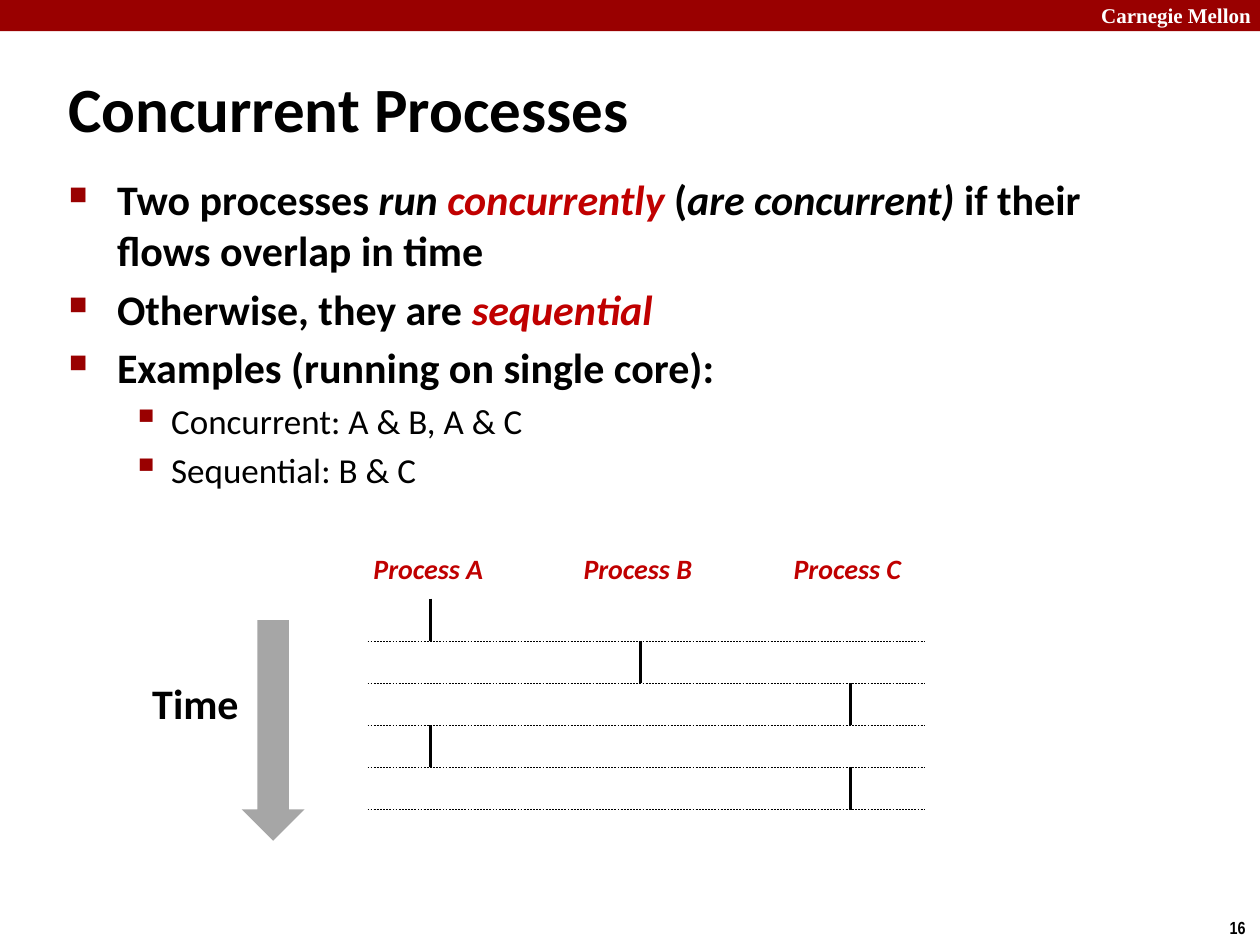
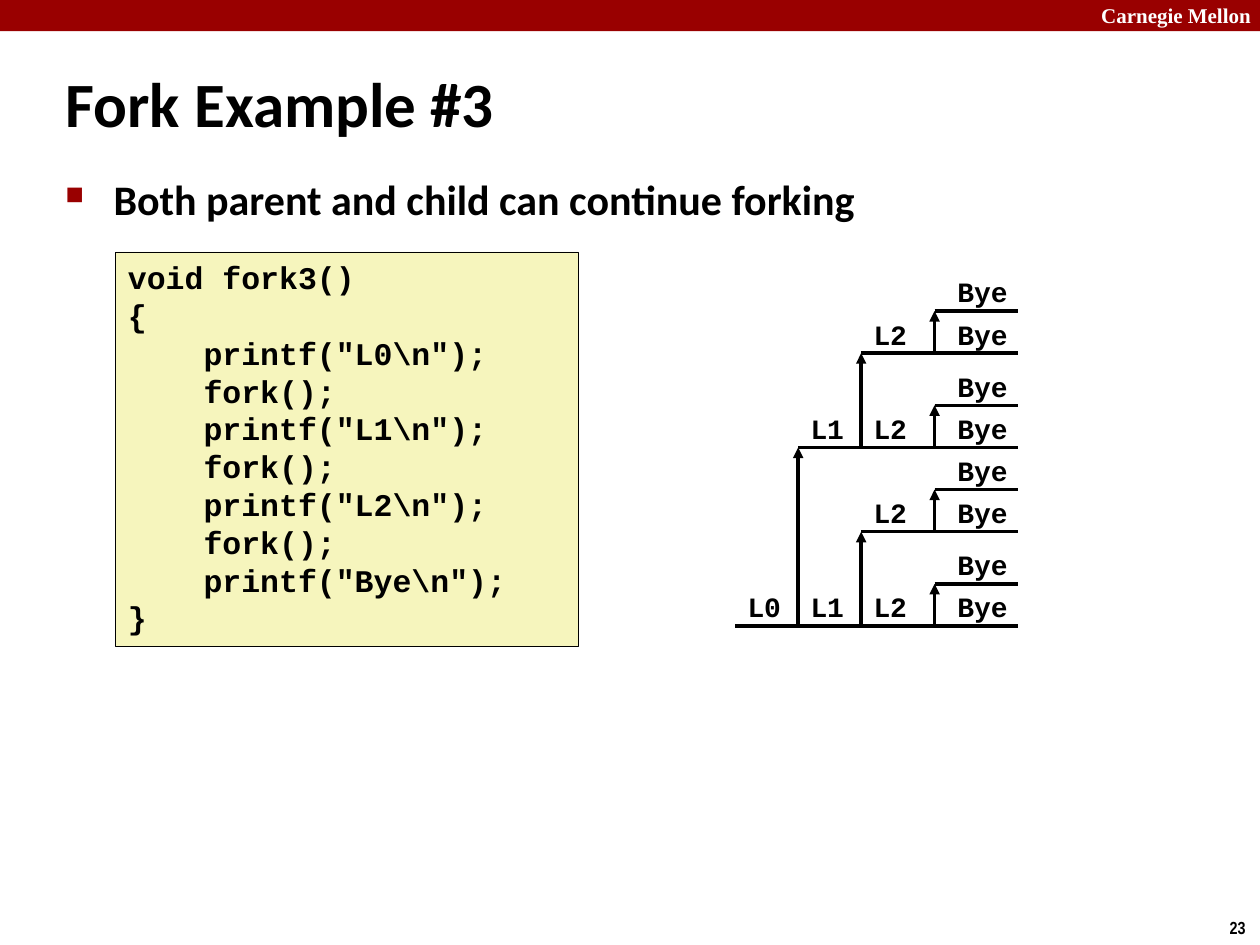
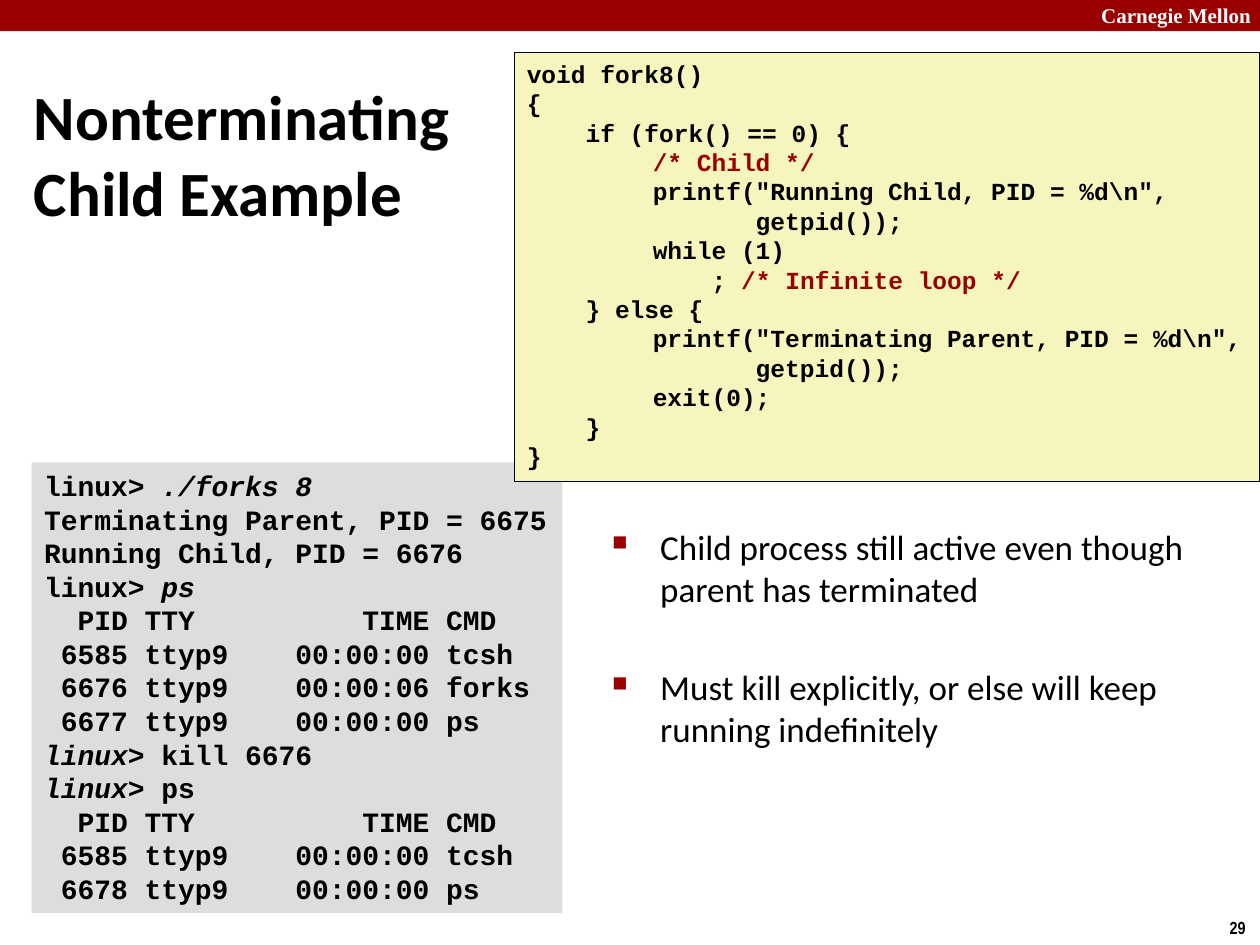
from lxml.etree import SubElement
from pptx import Presentation
from pptx.dml.color import RGBColor
from pptx.enum.dml import MSO_LINE_DASH_STYLE as Dash
from pptx.enum.shapes import MSO_CONNECTOR as Connector, MSO_SHAPE as Shape
from pptx.enum.text import MSO_ANCHOR as Anchor, MSO_AUTO_SIZE as AutoSize, PP_ALIGN as Align
from pptx.oxml.ns import qn
from pptx.util import Cm, Pt

BLACK, WHITE, CRIMSON, RED = "000000", "FFFFFF", "990000", "C00000"
CODE_FILL, TERMINAL_FILL, ARROW_FILL = "F6F5BD", "DDDDDD", "A6A6A6"

TITLE_FONT = dict(name="Calibri", size=36, bold=True, color=BLACK)
POINT_FONT = dict(name="Calibri", size=24, bold=True, color=BLACK)
DETAIL_FONT = dict(POINT_FONT, size=20, bold=False)
PROCESS_FONT = dict(name="Calibri", size=16, bold=True, italic=True, color=RED)
BRAND_FONT = dict(name="Times New Roman", size=12, bold=True, color=WHITE)
NUMBER_FONT = dict(name="Arial Narrow", size=10, bold=True, color=BLACK)
CODE_FONT = dict(name="Courier New", bold=True, color=BLACK)
CODE_SPACING = 1.2

ITALIC = dict(italic=True)
TERM = dict(italic=True, color=RED)
COMMENT = dict(color=CRIMSON)

BULLETS = [
    dict(margin=0.97, hanging=0.97, character="■", percent=60),
    dict(margin=2.06, hanging=0.79, character="▪", percent=110),
]

CONCURRENT_POINTS = [
    (0, [("Two processes ", {}), ("run ", ITALIC), ("concurrently", TERM), (" (", {}),
         ("are concurrent)", ITALIC), (" if their flows overlap in time", {})]),
    (0, [("Otherwise, they are ", {}), ("sequential", TERM)]),
    (0, [("Examples (running on single core):", {})]),
    (1, [("Concurrent: A & B, A & C", {})]),
    (1, [("Sequential: B & C", {})]),
]
PROCESSES = "ABC"
SCHEDULE = "ABCAC"

FORK_POINTS = [(0, [("Both parent and child can continue forking", {})])]
FORK_CODE = [
    "void fork3()",
    "{",
    '    printf("L0\\n");',
    "    fork();",
    '    printf("L1\\n");',
    "    fork();",
    '    printf("L2\\n");',
    "    fork();",
    '    printf("Bye\\n");',
    "}",
]
FORK_OUTPUTS = ["L0", "L1", "L2", "Bye"]
FORK_COLUMNS = [14.82, 16.09, 17.36, 18.84]
FORK_LABELS = [14.82, 16.09, 17.36, 19.05]
FORK_RISES = [3.6, 1.9, 0.85]
FORK_END, FORK_BASE = 20.53, 12.62

CHILD_POINTS = [
    (0, [("Child process still active even though parent has terminated", {})]),
    (0, [("Must kill explicitly, or else will keep running indefinitely", {})]),
]
CHILD_CODE = [
    "void fork8()",
    "{",
    "    if (fork() == 0) {",
    [("\t", {}), ("/* Child */", COMMENT)],
    '\tprintf("Running Child, PID = %d\\n",',
    "\t       getpid());",
    "\twhile (1)",
    [("\t    ; ", {}), ("/* Infinite loop */", COMMENT)],
    "    } else {",
    '\tprintf("Terminating Parent, PID = %d\\n",',
    "\t       getpid());",
    "\texit(0);",
    "    }",
    "}",
]
TERMINAL = [
    [("linux> ", {}), ("./forks 8", ITALIC)],
    "Terminating Parent, PID = 6675",
    "Running Child, PID = 6676",
    [("linux> ", {}), ("ps", ITALIC)],
    "  PID TTY          TIME CMD",
    " 6585 ttyp9    00:00:00 tcsh",
    " 6676 ttyp9    00:00:06 forks",
    " 6677 ttyp9    00:00:00 ps",
    [("linux>", ITALIC), (" kill 6676", {})],
    [("linux>", ITALIC), (" ps", {})],
    "  PID TTY          TIME CMD",
    " 6585 ttyp9    00:00:00 tcsh",
    " 6678 ttyp9    00:00:00 ps",
]


def rgb(value):
    return RGBColor.from_string(value)


def format_font(font, values):
    for key, value in values.items():
        if key == "color":
            font.color.rgb = rgb(value)
        else:
            setattr(font, key, Pt(value) if key == "size" else value)


def prepare_frame(shape, anchor=Anchor.TOP):
    frame = shape.text_frame
    settings = dict(word_wrap=True, auto_size=AutoSize.NONE, vertical_anchor=anchor, margin_right=0)
    for key, value in settings.items():
        setattr(frame, key, value)
    return frame


def next_paragraph(frame, index):
    paragraph = frame.add_paragraph() if index else frame.paragraphs[0]
    paragraph.alignment = Align.LEFT
    return paragraph


def add_runs(paragraph, runs, values):
    for text, changes in runs:
        run = paragraph.add_run()
        run.text = text
        format_font(run.font, {**values, **changes})


def write_lines(shape, lines, values, spacing=None):
    frame = prepare_frame(shape)
    for index, line in enumerate(lines):
        paragraph = next_paragraph(frame, index)
        runs = [(line, {})] if isinstance(line, str) else line
        if runs[0][0].startswith("\t"):
            tabs = SubElement(paragraph._p.get_or_add_pPr(), qn("a:tabLst"))
            SubElement(tabs, qn("a:tab"), pos=str(Cm(2.54)), algn="l")
        if spacing:
            paragraph.line_spacing = Pt(round(values["size"] * spacing, 1))
        add_runs(paragraph, runs, values)


def add_text(slide, text, box, values, spacing=None):
    write_lines(slide.shapes.add_textbox(*map(Cm, box)), [text], values, spacing)


def add_block(slide, kind, box, fill, outline=None):
    shape = slide.shapes.add_shape(kind, *map(Cm, box))
    shape.shadow.inherit = False
    shape.fill.solid()
    shape.fill.fore_color.rgb = rgb(fill)
    if outline:
        shape.line.color.rgb = rgb(outline)
        shape.line.width = Pt(0.25)
    else:
        shape.line.fill.background()
    return shape


def add_code(slide, lines, box, size, fill=CODE_FILL, outline=BLACK):
    block = add_block(slide, Shape.RECTANGLE, box, fill, outline)
    write_lines(block, lines, dict(CODE_FONT, size=size), CODE_SPACING)


def add_line(slide, start, end, width=2, dash=None, arrow=False):
    line = slide.shapes.add_connector(Connector.STRAIGHT, *map(Cm, start + end))
    line.line.color.rgb = rgb(BLACK)
    line.line.width = Pt(width)
    if dash:
        line.line.dash_style = dash
    properties = line._element.spPr
    if arrow:
        SubElement(properties.find(qn("a:ln")), qn("a:tailEnd"), type="triangle")
    SubElement(properties, qn("a:effectLst"))


def add_bullet(paragraph, margin, hanging, character, percent):
    properties = paragraph._p.get_or_add_pPr()
    properties.set("marL", str(Cm(margin)))
    properties.set("indent", str(-Cm(hanging)))
    color = SubElement(properties, qn("a:buClr"))
    SubElement(color, qn("a:srgbClr"), val=CRIMSON)
    SubElement(properties, qn("a:buSzPct"), val=str(percent * 1000))
    SubElement(properties, qn("a:buChar"), char=character)


def add_points(slide, points, box, fonts=(POINT_FONT, DETAIL_FONT), gap=None):
    frame = prepare_frame(slide.shapes.add_textbox(*map(Cm, box)))
    for index, (level, runs) in enumerate(points):
        paragraph = next_paragraph(frame, index)
        add_bullet(paragraph, **BULLETS[level])
        if index:
            paragraph.space_before = Pt(gap or fonts[level]["size"] * 0.2)
        add_runs(paragraph, runs, fonts[level])


def add_slide(presentation, title, box, number):
    slide = presentation.slides.add_slide(presentation.slide_layouts[5])
    add_block(slide, Shape.RECTANGLE, (0, 0, 25.4, 0.63), CRIMSON)
    add_text(slide, "Carnegie Mellon", (21.95, -0.08, 3.63, 0.76), BRAND_FONT)
    add_text(slide, number, (24.54, 18.36, 0.86, 0.69), NUMBER_FONT)
    placeholder = slide.shapes.title
    for key, value in zip(("left", "top", "width", "height"), box):
        setattr(placeholder, key, Cm(value))
    paragraph = next_paragraph(prepare_frame(placeholder, Anchor.MIDDLE), 0)
    paragraph.text = title
    for run in paragraph.runs:
        format_font(run.font, TITLE_FONT)
    return slide


def add_timeline(slide):
    first_column, column_step, top, row_step = 8.68, 4.235, 12.07, 0.85
    columns = {name: first_column + index * column_step for index, name in enumerate(PROCESSES)}
    for name, x in columns.items():
        add_text(slide, f"Process {name}", (x - 1.4, 11, 2.8, 0.94), PROCESS_FONT)
    for index, name in enumerate(SCHEDULE):
        start = top + index * row_step
        end = start + row_step
        add_line(slide, (columns[name], start), (columns[name], end))
        add_line(slide, (7.41, end), (18.63, end), 0.25, Dash.DASH)
    add_text(slide, "Time", (2.82, 13.54, 2.26, 1.27), POINT_FONT)
    add_block(slide, Shape.DOWN_ARROW, (4.87, 12.5, 1.27, 4.45), ARROW_FILL)


def add_process(slide, level, y):
    add_line(slide, (FORK_COLUMNS[level], y), (FORK_END, y))
    for step in range(level, len(FORK_OUTPUTS)):
        box = (FORK_LABELS[step], y - 0.85, 1.55, 0.94)
        add_text(slide, FORK_OUTPUTS[step], box, dict(CODE_FONT, size=16), CODE_SPACING)
        if step < len(FORK_RISES):
            x, child = FORK_COLUMNS[step + 1], y - FORK_RISES[step]
            add_line(slide, (x, y), (x, child), arrow=True)
            add_process(slide, step + 1, child)


def main():
    presentation = Presentation()
    presentation.slide_width, presentation.slide_height = Cm(25.4), Cm(19.05)

    slide = add_slide(presentation, "Concurrent Processes", (1.12, 1.37, 16.87, 1.6), "16")
    add_points(slide, CONCURRENT_POINTS, (1.14, 3.38, 21.95, 7.19))
    add_timeline(slide)

    slide = add_slide(presentation, "Fork Example #3", (1.07, 1.27, 14.15, 1.6), "23")
    add_points(slide, FORK_POINTS, (1.07, 3.38, 21.95, 2.13))
    add_code(slide, FORK_CODE, (2.33, 5.08, 9.33, 7.95), 18)
    add_process(slide, 0, FORK_BASE)

    slide = add_slide(presentation, "Nonterminating\nChild Example", (0.43, 0.84, 10.16, 4.5), "29")
    add_code(slide, TERMINAL, (0.64, 9.32, 10.7, 9.09), 16, TERMINAL_FILL, None)
    add_points(slide, CHILD_POINTS, (12.09, 10.46, 12.04, 7.54), (DETAIL_FONT,), 32)
    add_code(slide, CHILD_CODE, (10.37, 1.06, 15.02, 8.64), 14)

    presentation.save("out.pptx")


if __name__ == "__main__":
    main()
